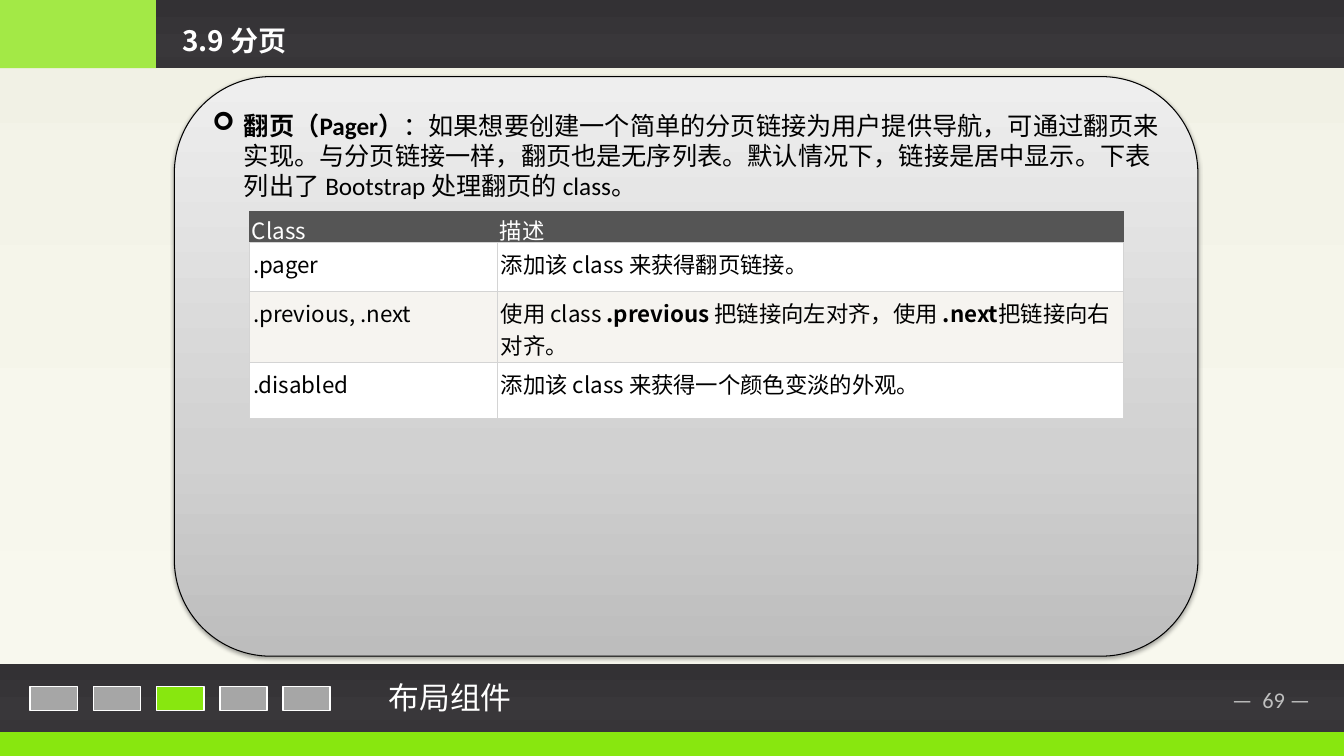
from pptx import Presentation
from pptx.util import Pt
from pptx.dml.color import RGBColor as RGB
from pptx.enum.shapes import MSO_SHAPE as Geo
from pptx.enum.text import MSO_ANCHOR as Anchor, PP_ALIGN as Align
from pptx.oxml import parse_xml
from pptx.oxml.ns import nsdecls, qn
from lxml.etree import SubElement as Sub


class Theme:
    lime, grey, white, black = "88E70F", "A6A6A6", "FFFFFF", "000000"
    pale, head, stripe, rule = "BFBFBF", "555555", "F6F4F0", "D4D4D4"
    dark = [(0, "333134"), (74, "39373A"), (83, "373538"), (100, "363436")]
    cream = [(0, "F1F1E5"), (74, "F7F7ED"), (83, "F8F8EE"), (100, "F9F9EF")]
    silver = [(0, "EEEEEE"), (65, "D1D1D1"), (100, "BDBDBD")]
    latin, cjk = "Calibri", "Noto Sans CJK SC"
    cell, body, title, foot = 16, 18, 20, 22


def draw(geo, at, fill, line=None, width=1.2):
    """Add a shape; a list of stops as fill runs from top to bottom."""
    shape = slide.shapes.add_shape(geo, *map(Pt, at))
    shape.shadow.inherit = False
    if isinstance(fill, list):
        stops = "".join(f'<a:gs pos="{pos * 1000}"><a:srgbClr val="{tone}"/></a:gs>'
                        for pos, tone in fill)
        grad = parse_xml(f'<a:gradFill {nsdecls("a")} rotWithShape="1"><a:gsLst>{stops}'
                         '</a:gsLst><a:lin ang="5400000" scaled="0"/></a:gradFill>')
        shape._element.spPr.find(qn("a:prstGeom")).addnext(grad)
    else:
        shape.fill.solid()
        shape.fill.fore_color.rgb = RGB.from_string(fill)
    if line:
        shape.line.color.rgb = RGB.from_string(line)
        shape.line.width = Pt(width)
    else:
        shape.line.fill.background()
    return shape


def write(par, runs, face, size, tone):
    """Fill a paragraph with (text, bold) runs."""
    for text, bold in runs:
        run = par.add_run()
        run.text = text
        for key, val in {"name": face, "size": Pt(size), "bold": bold}.items():
            setattr(run.font, key, val)
        run.font.color.rgb = RGB.from_string(tone)
        Sub(run._r.get_or_add_rPr(), qn("a:ea"), typeface=face)


deck = Presentation()
deck.slide_width, deck.slide_height = Pt(960.48), Pt(540)
slide = deck.slides.add_slide(deck.slide_layouts[6])
wide = 960.48

# Background and bars
draw(Geo.RECTANGLE, (0, 0, wide, 474), Theme.cream)
draw(Geo.RECTANGLE, (0, 522.7, wide, 17.3), Theme.lime)
draw(Geo.RECTANGLE, (0, 474, wide, 48.7), Theme.dark)
tab = draw(Geo.RECTANGLE, (0, 0, 111.6, 48.7), Theme.lime)
Sub(tab._element.spPr.find(".//" + qn("a:srgbClr")), qn("a:alpha"), val="74000")
draw(Geo.RECTANGLE, (111.6, 0, wide - 111.6, 48.7), Theme.dark)

# Progress boxes
for step in range(5):
    draw(Geo.RECTANGLE, (21.6 + 45.15 * step, 490.3, 33.8, 17.3),
         Theme.lime if step == 2 else Theme.grey, Theme.white)

# Panel with its paragraph
panel = draw(Geo.FLOWCHART_ALTERNATE_PROCESS, (124.6, 54.7, 731.5, 414),
             Theme.silver, Theme.black, 0.75)
glow = Sub(panel._element.spPr.find(qn("a:effectLst")), qn("a:outerShdw"),
           blurRad=str(Pt(3.1)), dist=str(Pt(1.6)), dir="5400000", rotWithShape="0")
Sub(Sub(glow, qn("a:srgbClr"), val=Theme.black), qn("a:alpha"), val="38000")
frame = panel.text_frame
frame.word_wrap, frame.vertical_anchor = True, Anchor.TOP
par = frame.paragraphs[0]
par.alignment = Align.LEFT
props = par._p.get_or_add_pPr()
props.set("marL", str(Pt(22.5)))
props.set("indent", str(Pt(-22.5)))
Sub(props, qn("a:buFont"), typeface="Wingdings")
Sub(props, qn("a:buChar"), char="➢")
write(par, [("翻页（Pager）", True),
            ("：如果想要创建一个简单的分页链接为用户提供导航，可通过翻页来实现。"
             "与分页链接一样，翻页也是无序列表。默认情况下，链接是居中显示。"
             "下表列出了 Bootstrap 处理翻页的 class。", False)],
      Theme.latin, Theme.body, Theme.black)

# Title, footer and page number
for text, at, face, size, tone, bold in [
        ("3.9 分页", (123.1, 13, 294.5, 31.7), Theme.cjk, Theme.title, Theme.white, True),
        ("布局组件", (270.7, 481, 307.4, 33.8), Theme.cjk, Theme.foot, Theme.white, False),
        ("—  69 —", (873.4, 486.7, 77, 26.6), Theme.latin, Theme.cell, Theme.pale, False)]:
    box = slide.shapes.add_textbox(*map(Pt, at)).text_frame
    box.word_wrap = True
    write(box.paragraphs[0], [(text, bold)], face, size, tone)

# Table of classes
rows = [
    ("Class", [("描述", False)]),
    (".pager", [("添加该 class 来获得翻页链接。", False)]),
    (".previous, .next", [("使用 class ", False), (".previous ", True),
                          ("把链接向左对齐，使用 ", False), (".next", True),
                          ("把链接向右对齐。", False)]),
    (".disabled", [("添加该 class 来获得一个颜色变淡的外观。", False)]),
]
fills = [Theme.head, Theme.white, Theme.stripe, Theme.white]
holder = slide.shapes.add_table(4, 2, *map(Pt, (178.6, 151.2, 624.2, 147.6)))
table = holder.table
table.first_row = table.horz_banding = False
for col, size in zip(table.columns, (177.1, 447.1)):
    col.width = Pt(size)
for row, size in zip(table.rows, (8.6, 34.6, 51.1, 39.6)):
    row.height = Pt(size)
holder.height = Pt(147.6)

for r, (name, note) in enumerate(rows):
    top = r == 0
    for c, runs in enumerate(([(name, False)], note)):
        cell = table.cell(r, c)
        side, edge = (1.5, 1.5) if top else (2.25, 3.75)
        for key, val in {"margin_left": side, "margin_right": side,
                         "margin_top": edge, "margin_bottom": edge}.items():
            setattr(cell, key, Pt(val))
        props = cell._tc.get_or_add_tcPr()
        for tag in ("lnL", "lnR", "lnT", "lnB"):
            tone = Theme.head if top and tag != "lnB" else Theme.rule
            line = Sub(props, qn("a:" + tag), w=str(Pt(0.75)))
            Sub(Sub(line, qn("a:solidFill")), qn("a:srgbClr"), val=tone)
        cell.fill.solid()
        cell.fill.fore_color.rgb = RGB.from_string(fills[r])
        write(cell.text_frame.paragraphs[0], runs, Theme.cjk, Theme.cell,
              Theme.white if top else Theme.black)

deck.save("out.pptx")
